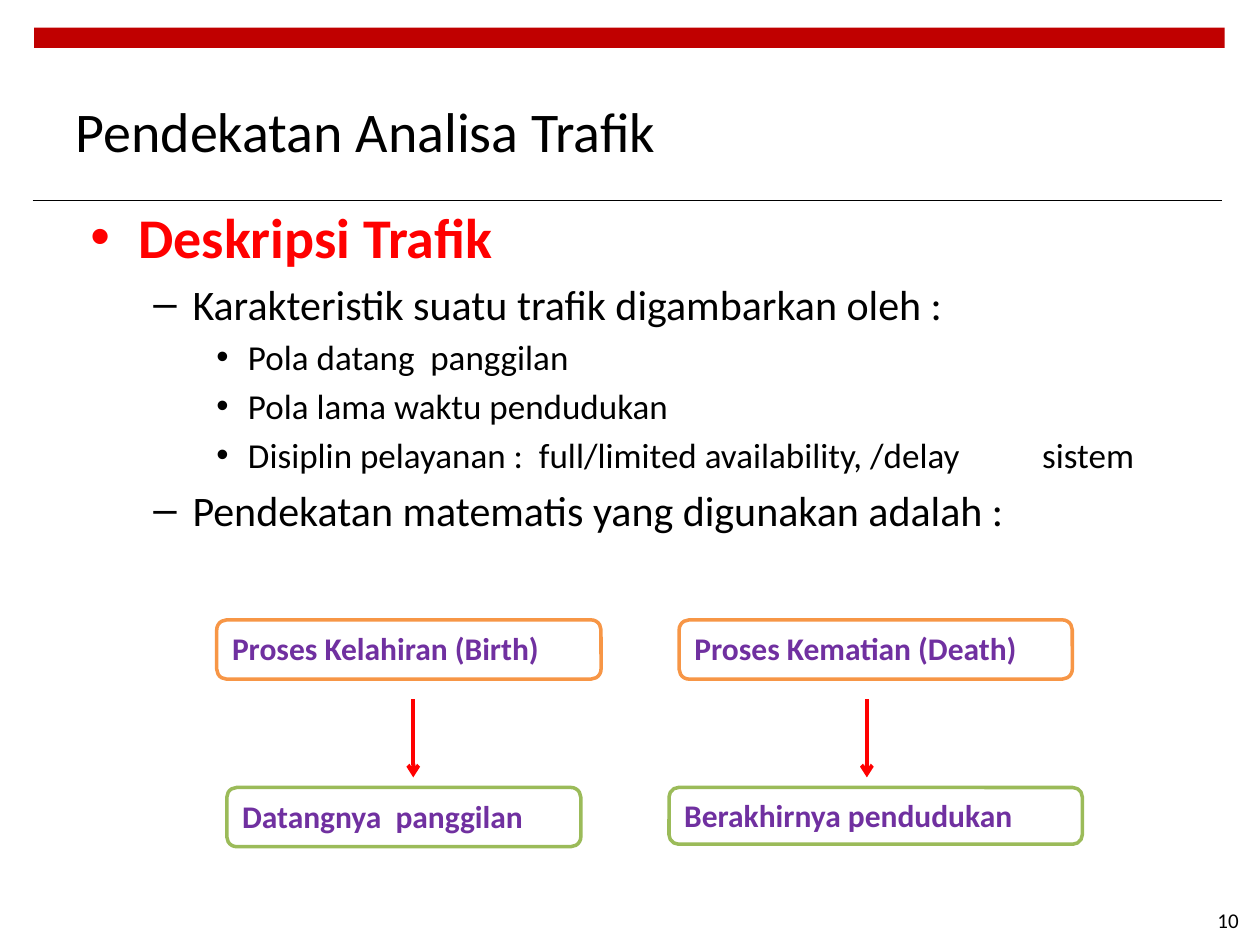
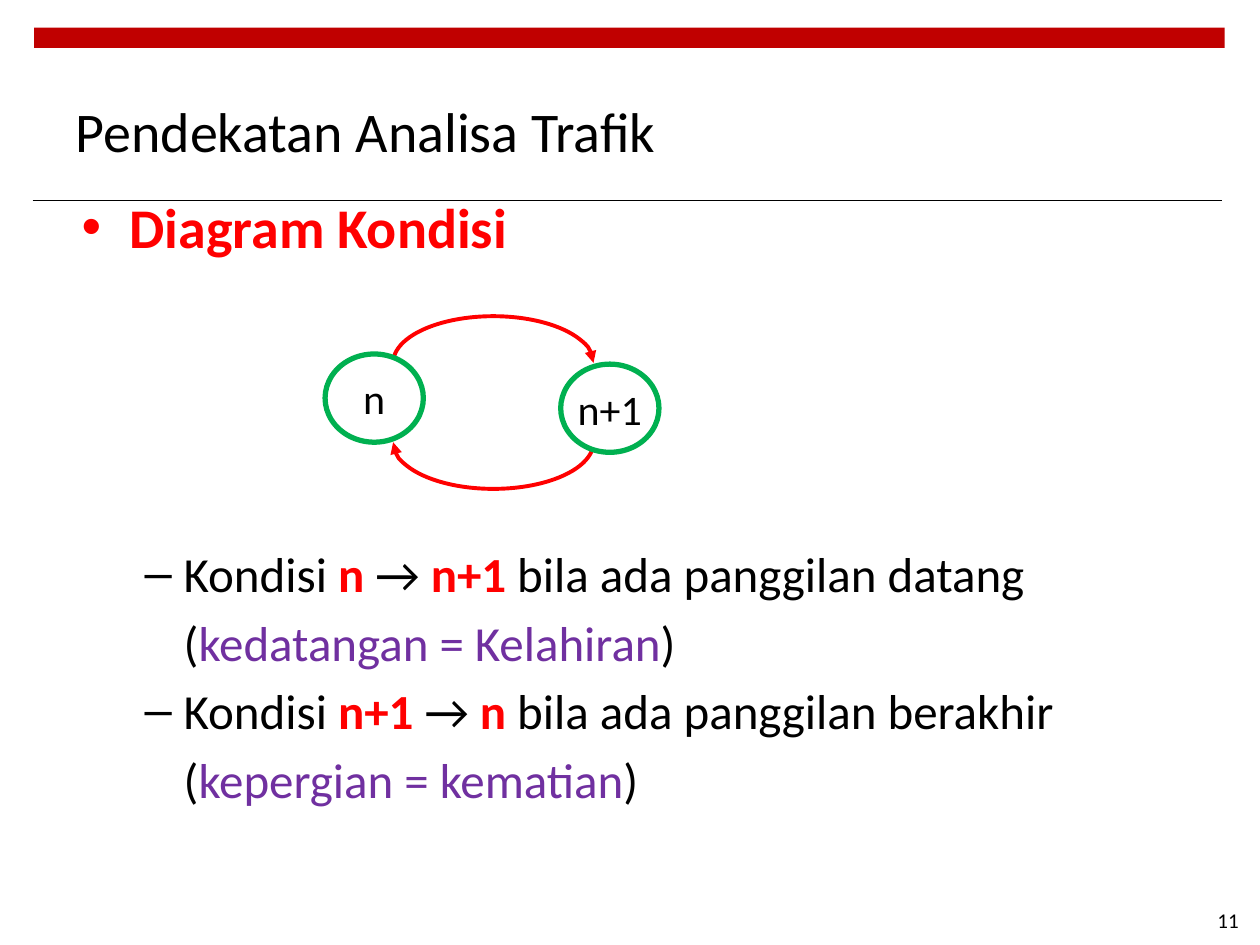
import pptx
import pptx.dml.color
import pptx.enum.shapes
import pptx.enum.text
import pptx.oxml.ns
import pptx.util
from lxml import etree

Inches = pptx.util.Inches
Pt = pptx.util.Pt
Shape = pptx.enum.shapes.MSO_SHAPE
Align = pptx.enum.text.PP_ALIGN
Anchor = pptx.enum.text.MSO_ANCHOR
qn = pptx.oxml.ns.qn

COLOURS = {
    "band": "C00000",
    "text": "000000",
    "accent": "FF0000",
    "term": "7030A0",
    "process": "F79646",
    "event": "9BBB59",
    "node": "00B050",
    "paper": "FFFFFF",
}
FONT = "Calibri"
TITLE = "Pendekatan Analisa Trafik"
LEVELS = [  # left margin and hanging indent in inches, bullet
    (0.38, -0.38, "•"),
    (0.81, -0.31, "–"),
    (1.25, -0.25, "•"),
]


def rgb(name):
    return pptx.dml.color.RGBColor.from_string(COLOURS[name])


def style_font(font, size, colour="text", bold=False):
    for name, value in {"name": FONT, "size": Pt(size), "bold": bold}.items():
        setattr(font, name, value)
    font.color.rgb = rgb(colour)


def format_frame(frame, **values):
    for name, value in values.items():
        setattr(frame, name, value)


def add_arrowhead(line_owner, kind):
    """Put an arrowhead at the end of a line or an open shape."""
    line = line_owner.line._get_or_add_ln()
    etree.SubElement(line, qn("a:tailEnd"), type=kind)


def add_line(page, start, end, colour, width):
    line = page.shapes.add_connector(
        pptx.enum.shapes.MSO_CONNECTOR.STRAIGHT,
        *(Inches(value) for value in start + end))
    line.line.color.rgb = rgb(colour)
    line.line.width = Pt(width)
    etree.SubElement(line._element.spPr, qn("a:effectLst"))
    return line


def add_shape(page, kind, place, fill=None, outline=None, width=1):
    shape = page.shapes.add_shape(kind, *(Inches(value) for value in place))
    shape.shadow.inherit = False
    if fill:
        shape.fill.solid()
        shape.fill.fore_color.rgb = rgb(fill)
    else:
        shape.fill.background()
    if outline:
        shape.line.color.rgb = rgb(outline)
        shape.line.width = Pt(width)
    else:
        shape.line.fill.background()
    return shape


def write_line(frame, text, align, size, colour="text", bold=False):
    para = frame.paragraphs[0]
    para.alignment = align
    span = para.add_run()
    span.text = text
    style_font(span.font, size, colour, bold)


def add_page(deck, number):
    """Add a slide with the shared band, rule, title and page number."""
    page = deck.slides.add_slide(deck.slide_layouts[5])
    add_shape(page, Shape.RECTANGLE, (0.27, 0.22, 9.45, 0.16), "band")
    add_line(page, (0.26, 1.59), (9.7, 1.59), "text", 0.6)

    title = page.shapes.title
    place = {"left": 0.5, "top": 0.52, "width": 6.66, "height": 1.03}
    for name, value in place.items():
        setattr(title, name, Inches(value))
    format_frame(title.text_frame, vertical_anchor=Anchor.MIDDLE, word_wrap=True)
    write_line(title.text_frame, TITLE, Align.LEFT, 32)

    box = page.shapes.add_textbox(Inches(7.6), Inches(7.1), Inches(2.33), Inches(0.4))
    format_frame(box.text_frame, vertical_anchor=Anchor.MIDDLE, word_wrap=True)
    write_line(box.text_frame, str(number), Align.RIGHT, 12)
    return page


def set_list_level(para, level, bullet=True, tabs=()):
    margin, indent, symbol = LEVELS[level]
    props = para._p.get_or_add_pPr()
    props.set("marL", str(Inches(margin)))
    props.set("indent", str(Inches(indent if bullet else 0)))
    if bullet:
        etree.SubElement(props, qn("a:buFont"), typeface="Arial")
        etree.SubElement(props, qn("a:buChar"), char=symbol)
    else:
        etree.SubElement(props, qn("a:buNone"))
    if tabs:
        stops = etree.SubElement(props, qn("a:tabLst"))
        for stop in tabs:
            etree.SubElement(stops, qn("a:tab"), pos=str(Inches(stop)), algn="l")


def add_outline(page, place, items):
    """Items hold level, size, spans of (text, colour, bold), and options."""
    box = page.shapes.add_textbox(*(Inches(value) for value in place))
    frame = box.text_frame
    frame.word_wrap = True
    for index, (level, size, spans, options) in enumerate(items):
        para = frame.add_paragraph() if index else frame.paragraphs[0]
        set_list_level(para, level, options.get("bullet", True),
                       options.get("tabs", ()))
        if index:
            para.space_before = Pt(options.get("before", 0.2 * size))
        for text, colour, bold in spans:
            span = para.add_run()
            span.text = text
            style_font(span.font, size, colour, bold)


def plain(text):
    return (text, "text", False)


def strong(text):
    return (text, "accent", True)


def term(text):
    return (text, "term", False)


def add_label_box(page, text, place, outline):
    box = add_shape(page, Shape.ROUNDED_RECTANGLE, place, "paper", outline, 2)
    format_frame(box.text_frame, vertical_anchor=Anchor.TOP, word_wrap=False)
    write_line(box.text_frame, text, Align.LEFT, 18, "term", True)


def add_state(page, text, left, top):
    node = add_shape(page, Shape.OVAL, (left, top, 0.78, 0.7), "paper", "node", 3)
    format_frame(node.text_frame, word_wrap=False, vertical_anchor=Anchor.MIDDLE,
                 margin_left=0, margin_right=0, margin_top=0, margin_bottom=0)
    write_line(node.text_frame, text, Align.CENTER, 24)


def add_transition(page, top, start, end):
    """Draw a clockwise half ellipse; angles are in degrees."""
    arc = add_shape(page, Shape.ARC, (3.12, top, 1.59, 0.74), None, "accent", 2.25)
    for index, angle in enumerate((start, end)):
        arc.adjustments[index] = angle * 0.6
    add_arrowhead(arc, "triangle")


def build_description(deck):
    page = add_page(deck, 10)
    add_outline(page, (0.62, 1.56, 9, 3.2), [
        (0, 32, [strong("Deskripsi Trafik")], {}),
        (1, 24, [plain("Karakteristik suatu trafik digambarkan oleh :")], {}),
        (2, 20, [plain("Pola datang  panggilan")], {}),
        (2, 20, [plain("Pola lama waktu pendudukan")], {}),
        (2, 20, [plain("Disiplin pelayanan :  full/limited availability, /delay\tsistem")],
         {"tabs": (6.31, 7.56)}),
        (1, 24, [plain("Pendekatan matematis yang digunakan adalah :")], {}),
    ])
    for text, place, outline in [
        ("Proses Kelahiran (Birth)", (1.72, 4.92, 3.05, 0.47), "process"),
        ("Proses Kematian (Death)", (5.39, 4.92, 3.12, 0.47), "process"),
        ("Datangnya  panggilan", (1.8, 6.25, 2.81, 0.47), "event"),
        ("Berakhirnya pendudukan", (5.31, 6.25, 3.28, 0.45), "event"),
    ]:
        add_label_box(page, text, place, outline)
    for x in (3.28, 6.88):
        add_arrowhead(add_line(page, (x, 5.55), (x, 6.17), "accent", 2.25), "arrow")


def build_state_diagram(deck):
    page = add_page(deck, 11)
    add_transition(page, 2.51, 180, 0)
    add_transition(page, 3.14, 0, 180)
    add_state(page, "n", 2.58, 2.81)
    add_state(page, "n+1", 4.45, 2.89)
    add_outline(page, (0.55, 1.48, 9, 5.5), [
        (0, 32, [strong("Diagram Kondisi")], {}),
        (1, 28, [plain("Kondisi"), strong(" n "), plain("→ "), strong("n+1 "),
                 plain("bila ada panggilan datang")], {"before": 162}),
        (1, 28, [plain("("), term("kedatangan = Kelahiran"), plain(")")],
         {"bullet": False}),
        (1, 28, [plain("Kondisi "), strong("n+1 "), plain("→ "), strong("n"),
                 plain(" bila ada panggilan berakhir")], {}),
        (1, 28, [plain("("), term("kepergian = kematian"), plain(")")],
         {"bullet": False}),
    ])


def main():
    deck = pptx.Presentation()
    deck.slide_width = Inches(10)
    deck.slide_height = Inches(7.5)
    build_description(deck)
    build_state_diagram(deck)
    deck.save("out.pptx")


if __name__ == "__main__":
    main()
